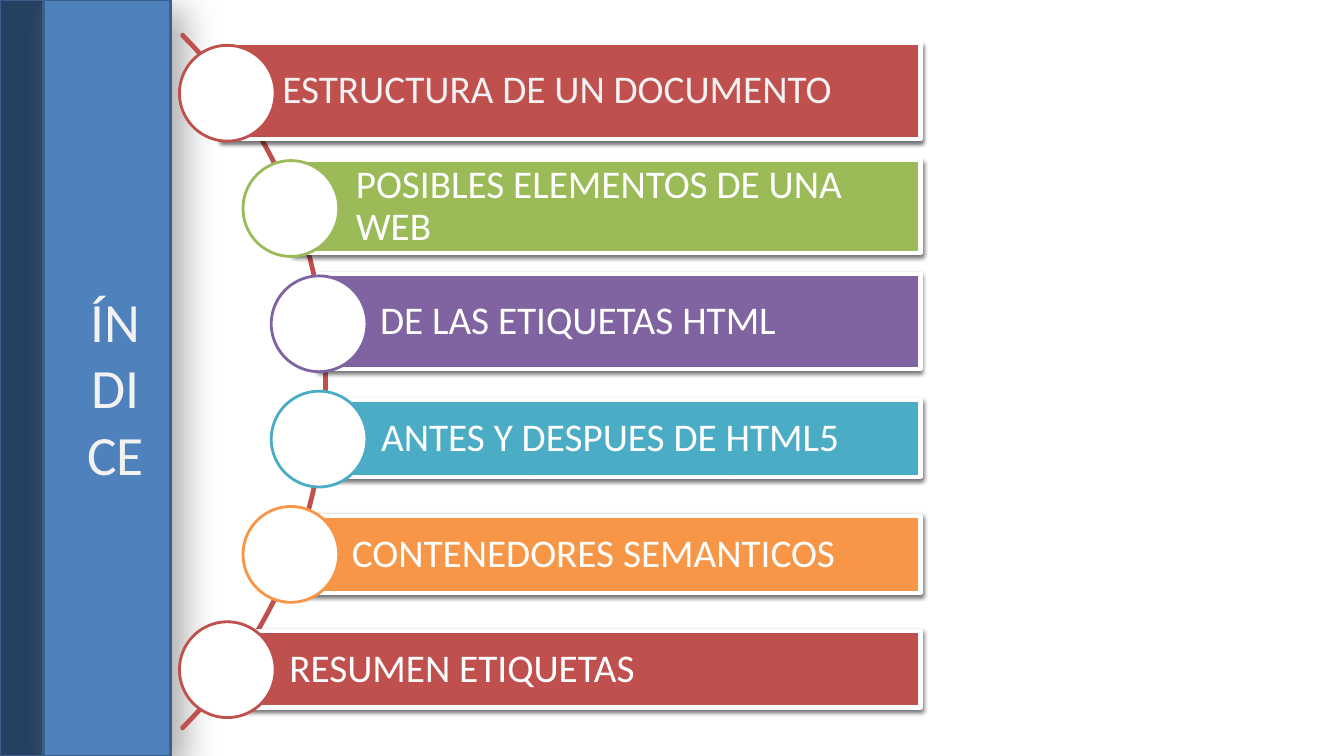
"""Builds the index slide: a side panel with the title and six topics along an arc."""
from dataclasses import dataclass

from lxml import etree
from pptx import Presentation
from pptx.dml.color import RGBColor
from pptx.enum.shapes import MSO_SHAPE
from pptx.enum.text import MSO_ANCHOR, MSO_AUTO_SIZE, PP_ALIGN
from pptx.oxml.ns import qn
from pptx.shapes.autoshape import Shape
from pptx.slide import Slide
from pptx.text.text import TextFrame
from pptx.util import Inches, Pt

RECTANGLE, OVAL, BLOCK_ARC = MSO_SHAPE.RECTANGLE, MSO_SHAPE.OVAL, MSO_SHAPE.BLOCK_ARC
MIDDLE, NO_AUTOFIT = MSO_ANCHOR.MIDDLE, MSO_AUTO_SIZE.NONE
LEFT, CENTER = PP_ALIGN.LEFT, PP_ALIGN.CENTER
SLIDE_WIDTH, SLIDE_HEIGHT = Inches(13.33), Inches(7.5)
FONT = "Calibri"
WHITE, PALE, RED = "FFFFFF", "F2F2F2", "C0504D"
BAR_RIGHT = 68.5
CIRCLE_WIDTH, CIRCLE_HEIGHT = 7.12, 12.67
FIRST_CIRCLE_TOP, CIRCLE_STEP = 6, 15.25


@dataclass(frozen=True)
class Area:
    """A rectangle in percent of the slide's width and height."""
    left: float
    top: float
    width: float
    height: float


@dataclass(frozen=True)
class Shadow:
    """An outer shadow: opacity in percent, lengths in points, angle in degrees."""
    color: str
    opacity: int
    blur: float
    distance: float
    angle: int


@dataclass(frozen=True)
class Topic:
    """One index entry: its bar and the left edge of its circle."""
    text: str
    color: str
    circle_left: float
    bar_left: float
    bar_top: float
    bar_height: float
    text_color: str = WHITE


PANEL_SHADOW = Shadow("808080", 65, 24, 11, 45)
BAR_SHADOW = Shadow("000000", 55, 3.1, 1.6, 90)
PANELS = {"254061": Area(0, 0, 9.45, 100), "4F81BD": Area(3.23, 0, 9.45, 100)}
TITLE_AREA = Area(5.63, 3.87, 5.93, 94.53)
ARC_AREA = Area(-48.83, -14.53, 73.13, 130)
TOPICS = [
    Topic("ESTRUCTURA DE UN DOCUMENTO", RED, 13.35, 16.43, 5.73, 12.67, PALE),
    Topic("POSIBLES ELEMENTOS DE UNA WEB", "9BBB59", 18.08, 21.9, 21.2, 12.27),
    Topic("DE LAS ETIQUETAS HTML", "8064A2", 20.18, 23.7, 36.27, 12.53),
    Topic("ANTES Y DESPUES DE HTML5", "4BACC6", 20.18, 23.78, 52.93, 10.13),
    Topic("CONTENEDORES SEMANTICOS", "F79646", 18.08, 21.6, 68.27, 10.13),
    Topic("RESUMEN ETIQUETAS", RED, 13.35, 16.95, 83.47, 10.13),
]


def rgb(color: str) -> RGBColor:
    """Turn a hex string into a colour."""
    return RGBColor.from_string(color)


def across(share: float) -> int:
    """Give a percentage of the slide's width as a length."""
    return round(SLIDE_WIDTH * share / 100)


def down(share: float) -> int:
    """Give a percentage of the slide's height as a length."""
    return round(SLIDE_HEIGHT * share / 100)


def place(shape: Shape, area: Area) -> None:
    """Move a shape to an area."""
    shape.left, shape.top = across(area.left), down(area.top)
    shape.width, shape.height = across(area.width), down(area.height)


def cast_shadow(shape: Shape, shadow: Shadow) -> None:
    """Give a shape an outer shadow."""
    effects = shape.element.spPr.find(qn("a:effectLst"))
    outer = etree.SubElement(
        effects, qn("a:outerShdw"), blurRad=str(Pt(shadow.blur)),
        dist=str(Pt(shadow.distance)), dir=str(shadow.angle * 60000),
        algn="ctr", rotWithShape="0")
    color = etree.SubElement(outer, qn("a:srgbClr"), val=shadow.color)
    etree.SubElement(color, qn("a:alpha"), val=str(shadow.opacity * 1000))


def add_figure(page: Slide, kind: MSO_SHAPE, area: Area, fill: str | None,
               line: str, line_width: float, shadow: Shadow | None = None) -> Shape:
    """Add a preset shape with its fill, line and shadow."""
    shape = page.shapes.add_shape(kind, 0, 0, 0, 0)
    place(shape, area)
    if fill:
        shape.fill.solid()
        shape.fill.fore_color.rgb = rgb(fill)
    else:
        shape.fill.background()
    shape.line.color.rgb = rgb(line)
    shape.line.width = Pt(line_width)
    shape.shadow.inherit = False
    if shadow:
        cast_shadow(shape, shadow)
    return shape


def write(frame: TextFrame, text: str, size: float, color: str, align: PP_ALIGN) -> None:
    """Set and format a single paragraph, centred vertically."""
    frame.text = text
    frame.word_wrap = True
    frame.auto_size = NO_AUTOFIT
    frame.vertical_anchor = MIDDLE
    para = frame.paragraphs[0]
    para.alignment = align
    span = para.runs[0]
    span.font.name = FONT
    span.font.size = Pt(size)
    span.font.color.rgb = rgb(color)


def add_title(page: Slide, text: str) -> None:
    """Fill the title placeholder and bring it in front of the panels."""
    title = page.shapes.title
    place(title, TITLE_AREA)
    write(title.text_frame, text, 39.6, PALE, CENTER)
    title.element.txBody.find(qn("a:bodyPr")).set("vert", "vert270")
    title.element.getparent().append(title.element)


def add_topic(page: Slide, topic: Topic, row: int) -> None:
    """Add a topic's bar with its text and the circle at its left end."""
    bar_area = Area(topic.bar_left, topic.bar_top, BAR_RIGHT - topic.bar_left, topic.bar_height)
    bar = add_figure(page, RECTANGLE, bar_area, topic.color, WHITE, 3, BAR_SHADOW)
    frame = bar.text_frame
    write(frame, topic.text, 28, topic.text_color, LEFT)
    frame.paragraphs[0].line_spacing = 0.9
    frame.margin_left = across(4.58)
    frame.margin_right = frame.margin_top = frame.margin_bottom = across(0.6)
    circle_top = FIRST_CIRCLE_TOP + row * CIRCLE_STEP
    circle_area = Area(topic.circle_left, circle_top, CIRCLE_WIDTH, CIRCLE_HEIGHT)
    add_figure(page, OVAL, circle_area, WHITE, topic.color, 2)


def main() -> None:
    """Build and save the deck."""
    deck = Presentation()
    deck.slide_width, deck.slide_height = SLIDE_WIDTH, SLIDE_HEIGHT
    page = deck.slides.add_slide(deck.slide_layouts[5])
    for color, area in PANELS.items():
        add_figure(page, RECTANGLE, area, color, "3A5F8C", 2, PANEL_SHADOW)
    add_title(page, "ÍNDICE")
    arc = add_figure(page, BLOCK_ARC, ARC_AREA, None, RED, 2)
    for index, value in enumerate((189, 27, 0.002)):
        arc.adjustments[index] = value
    for row, topic in enumerate(TOPICS):
        add_topic(page, topic, row)
    deck.save("out.pptx")


if __name__ == "__main__":
    main()
